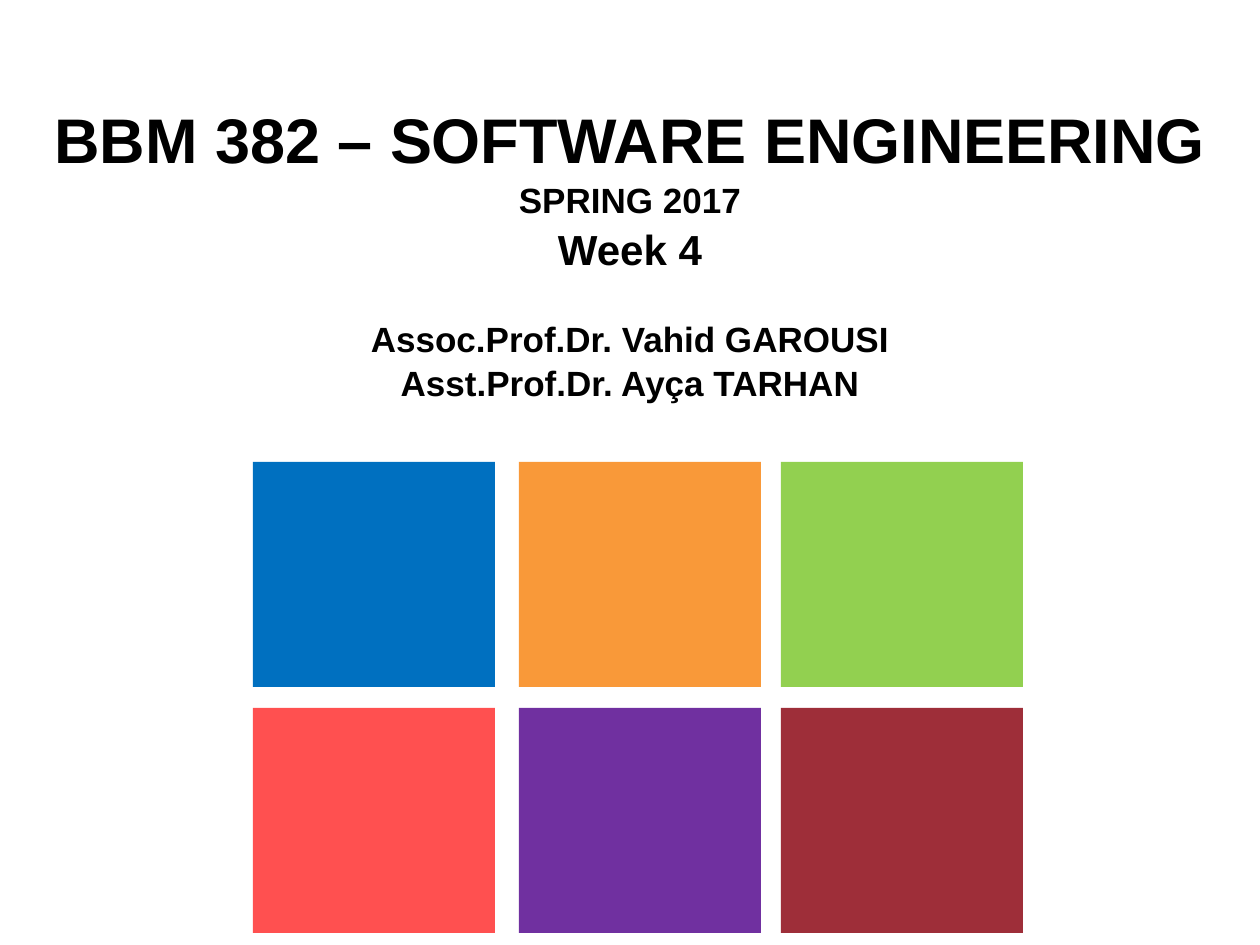
import itertools

import pptx
import pptx.dml.color
import pptx.enum.shapes
import pptx.enum.text
import pptx.util

RGB = pptx.dml.color.RGBColor
BLACK = RGB(0x00, 0x00, 0x00)
WHITE = RGB(0xFF, 0xFF, 0xFF)
BLUE = RGB(0x00, 0x70, 0xC0)
ORANGE = RGB(0xF9, 0x99, 0x39)
GREEN = RGB(0x92, 0xD0, 0x50)
RED = RGB(0xFF, 0x50, 0x50)
PURPLE = RGB(0x70, 0x30, 0xA0)
MAROON = RGB(0x9E, 0x2E, 0x39)

PX_PER_INCH = 126
TITLE_LINES = [
    ("BBM 382 – SOFTWARE ENGINEERING", 36, 0),
    ("SPRING 2017", 20, 0),
    ("Week 4", 24, 0),
    ("Assoc.Prof.Dr. Vahid GAROUSI", 20, 24),
    ("Asst.Prof.Dr. Ayça TARHAN", 20, 0),
]
TILE_SIZE = (242, 225)
TILE_LEFTS = (253, 519, 781)
TILE_TOPS = (462, 708)
TILE_COLORS = (BLUE, ORANGE, GREEN, RED, PURPLE, MAROON)


def px(n):
    return pptx.util.Inches(n / PX_PER_INCH)


def apply(obj, values):
    for name, value in values.items():
        setattr(obj, name, value)


class Deck:
    font = {"name": "Arial", "bold": True}

    def __init__(self, prs):
        self.s = prs.slides.add_slide(prs.slide_layouts[5])
        fill = self.s.background.fill
        fill.solid()
        fill.fore_color.rgb = WHITE

    def title(self, left, top, width, height, lines):
        sp = self.s.shapes.title
        apply(sp, {"left": px(left), "top": px(top),
                   "width": px(width), "height": px(height)})
        tf = sp.text_frame
        apply(tf, {"word_wrap": True,
                   "auto_size": pptx.enum.text.MSO_AUTO_SIZE.NONE,
                   "vertical_anchor": pptx.enum.text.MSO_ANCHOR.MIDDLE})
        for i, (text, size, gap) in enumerate(lines):
            p = tf.add_paragraph() if i else tf.paragraphs[0]
            apply(p, {"alignment": pptx.enum.text.PP_ALIGN.CENTER,
                      "line_spacing": 1.05,
                      "space_before": pptx.util.Pt(gap)})
            r = p.add_run()
            r.text = text
            apply(r.font, {**self.font, "size": pptx.util.Pt(size)})
            r.font.color.rgb = BLACK

    def tile(self, left, top, width, height, color):
        sp = self.s.shapes.add_shape(
            pptx.enum.shapes.MSO_SHAPE.RECTANGLE,
            px(left), px(top), px(width), px(height))
        sp.shadow.inherit = False
        sp.fill.solid()
        sp.fill.fore_color.rgb = color
        sp.line.fill.background()


def main():
    prs = pptx.Presentation()
    apply(prs, {"slide_width": px(1260), "slide_height": px(945)})
    deck = Deck(prs)
    deck.title(0, 63, 1260, 375, TITLE_LINES)
    cells = itertools.product(TILE_TOPS, TILE_LEFTS)
    for (top, left), color in zip(cells, TILE_COLORS):
        deck.tile(left, top, *TILE_SIZE, color)
    prs.save("out.pptx")


if __name__ == "__main__":
    main()
